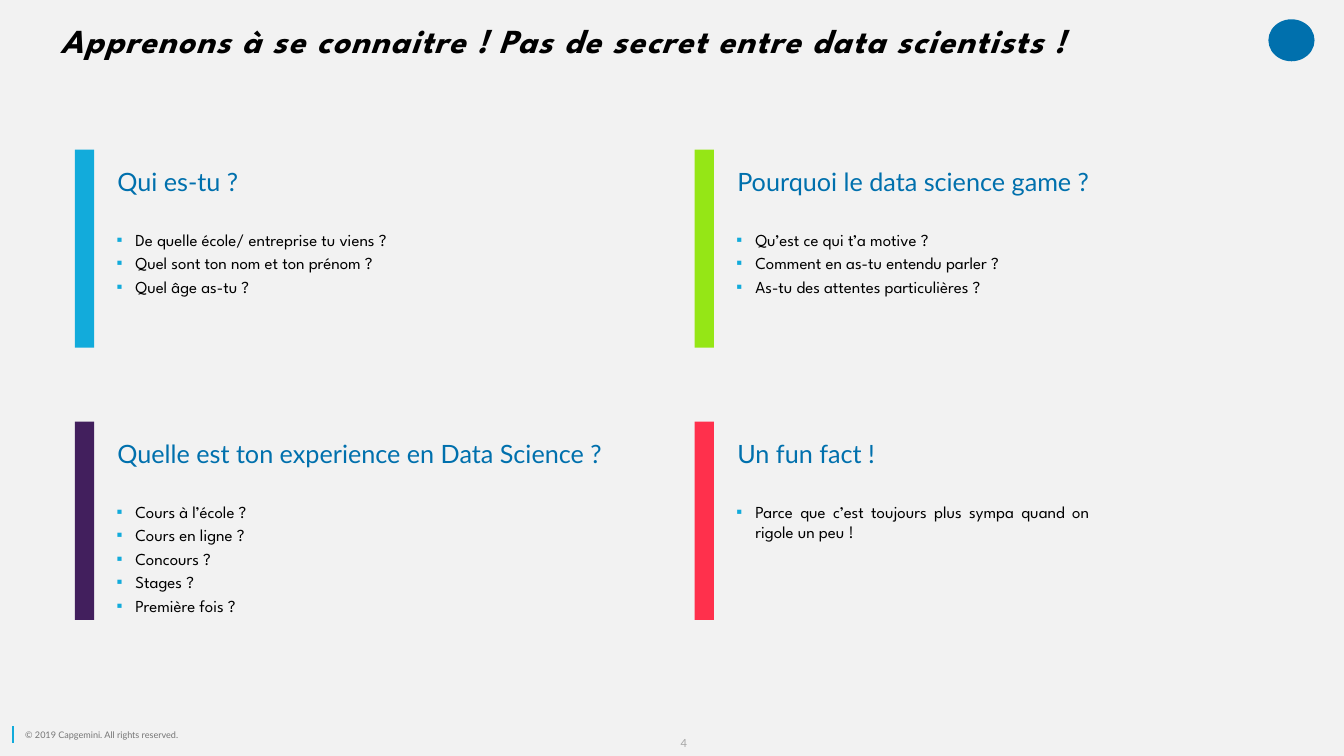
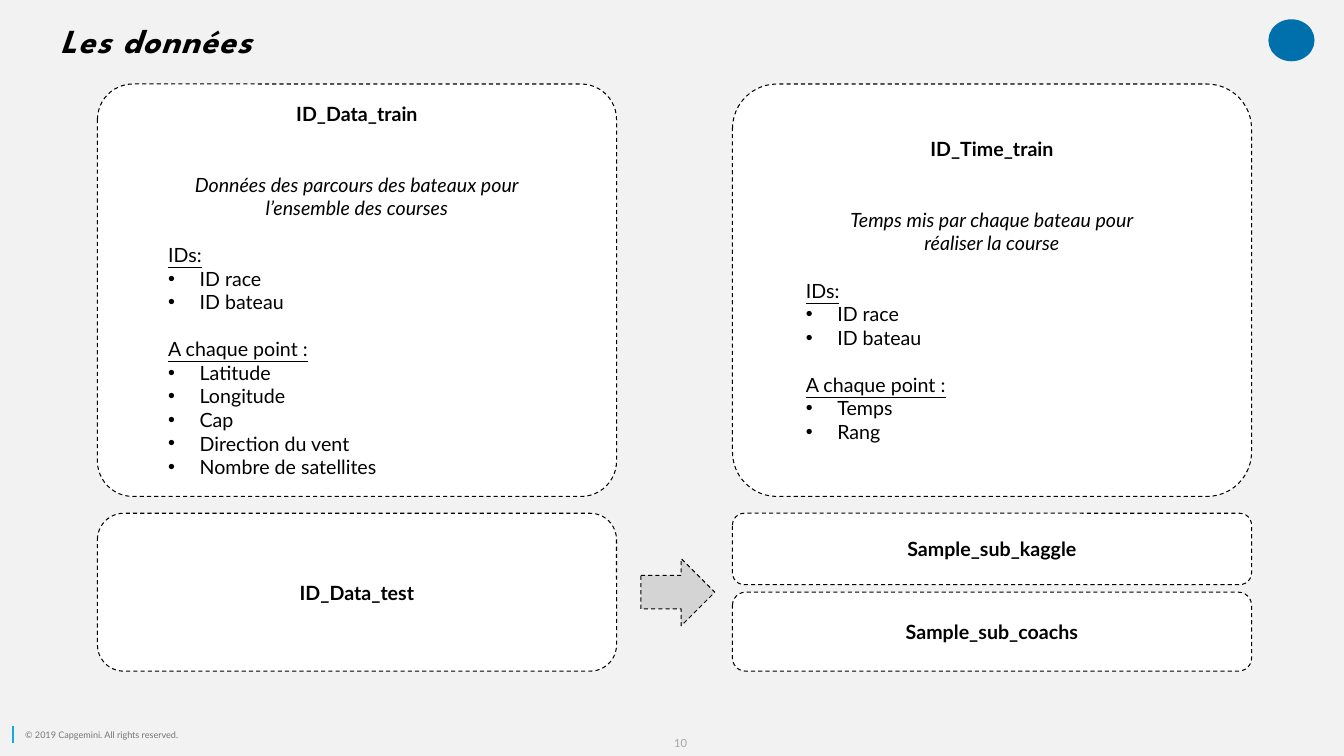
"""Build two data science workshop slides: an ice-breaker and a data overview."""
import lxml.etree
import pptx
import pptx.dml.color
import pptx.enum.dml
import pptx.enum.shapes
import pptx.enum.text
import pptx.oxml.ns
import pptx.util

Pt = pptx.util.Pt
RGB = pptx.dml.color.RGBColor.from_string
SHAPE = pptx.enum.shapes.MSO_SHAPE
ALIGN = pptx.enum.text.PP_ALIGN
ANCHOR = pptx.enum.text.MSO_ANCHOR
qn = pptx.oxml.ns.qn

COLS, ROWS = 160, 90
CELL = pptx.util.Inches(7.5) // ROWS

THEME = {
    "back": "F2F2F2", "card": "FFFFFF", "ink": "000000", "arrow": "D4D4D4",
    "blue": "0070AD", "cyan": "12ABDB",
    "bars": ["12ABDB", "95E616", "421F5D", "FF304C"],
    "title": {"font": {"name": "League Spartan", "size": Pt(24), "bold": True, "italic": True},
              "color": "000000", "spc": 100},
    "footer": {"font": {"name": "Lato", "size": Pt(6.5)}, "color": "767676"},
    "number": {"font": {"name": "Lato", "size": Pt(8)}, "color": "A6A6A6",
               "para": {"alignment": ALIGN.RIGHT}},
    "heading": {"font": {"name": "Lato", "size": Pt(18)}, "color": "0070AD"},
    "question": {"font": {"name": "League Spartan", "size": Pt(12)}, "color": "000000",
                 "para": {"alignment": ALIGN.JUSTIFY, "space_before": Pt(2.4)},
                 "indent": (13.5, -13.5), "bullet": ("▪", "12ABDB")},
    "name": {"font": {"name": "Lato", "size": Pt(14), "bold": True}, "color": "000000",
             "para": {"alignment": ALIGN.CENTER, "space_after": Pt(33.6)}},
    "single": {"font": {"name": "Lato", "size": Pt(14), "bold": True}, "color": "000000",
               "para": {"alignment": ALIGN.CENTER}},
    "note": {"font": {"name": "Lato", "size": Pt(14), "italic": True}, "color": "000000",
             "para": {"alignment": ALIGN.CENTER}},
    "label": {"font": {"name": "Lato", "size": Pt(14), "underline": True}, "color": "000000",
              "para": {"alignment": ALIGN.LEFT, "space_before": Pt(16.8)}, "indent": (36, 0)},
    "field": {"font": {"name": "Lato", "size": Pt(14)}, "color": "000000",
              "para": {"alignment": ALIGN.LEFT}, "indent": (58.5, -22.5),
              "bullet": ("•", "000000")},
}


def add(s, box, kind=None, fill=None, outline=False):
    """Add a text box, or a preset shape when a kind is given, on the grid."""
    at = [round(v * CELL) for v in box]
    if kind is None:
        return s.shapes.add_textbox(*at)
    sp = s.shapes.add_shape(kind, *at)
    sp.shadow.inherit = False
    sp.fill.solid()
    sp.fill.fore_color.rgb = RGB(fill)
    if outline:
        sp.line.color.rgb = RGB(THEME["ink"])
        sp.line.width = Pt(0.75)
        sp.line.dash_style = pptx.enum.dml.MSO_LINE.DASH
    else:
        sp.line.fill.background()
    return sp


def write(sp, lines, **frame):
    """Write (style, text) lines into a shape with the given frame values."""
    tf = sp.text_frame
    for key, value in {"word_wrap": True, **frame}.items():
        setattr(tf, key, value)
    for i, (style, text) in enumerate(lines):
        look = THEME[style]
        p = tf.paragraphs[0] if i == 0 else tf.add_paragraph()
        pPr = p._p.get_or_add_pPr()
        if "indent" in look:
            for key, value in zip(("marL", "indent"), look["indent"]):
                pPr.set(key, str(Pt(value)))
        if "bullet" in look:
            char, color = look["bullet"]
            clr = lxml.etree.SubElement(pPr, qn("a:buClr"))
            lxml.etree.SubElement(clr, qn("a:srgbClr"), val=color)
            lxml.etree.SubElement(pPr, qn("a:buFont"), typeface="Arial")
            lxml.etree.SubElement(pPr, qn("a:buChar"), char=char)
        for key, value in look.get("para", {}).items():
            if i or key != "space_before":
                setattr(p, key, value)
        r = p.add_run()
        r.text = text
        for key, value in look["font"].items():
            setattr(r.font, key, value)
        r.font.color.rgb = RGB(look["color"])
        if "spc" in look:
            r._r.get_or_add_rPr().set("spc", str(look["spc"]))


prs = pptx.Presentation()
prs.slide_width, prs.slide_height = COLS * CELL, ROWS * CELL
FLUSH = {"margin_left": 0, "margin_top": 0, "margin_right": 0, "margin_bottom": 0}
MIDDLE = {"vertical_anchor": ANCHOR.MIDDLE}

slides = []
for title, number in [("Apprenons à se connaitre ! Pas de secret entre data scientists !", "4"),
                      ("Les données", "10")]:
    s = prs.slides.add_slide(prs.slide_layouts[6])
    s.background.fill.solid()
    s.background.fill.fore_color.rgb = RGB(THEME["back"])
    add(s, (151, 2.3, 5.5, 5), SHAPE.OVAL, THEME["blue"])
    tick = s.shapes.add_connector(pptx.enum.shapes.MSO_CONNECTOR.STRAIGHT,
                                  *[round(v * CELL) for v in (1.55, 88.4, 1.55, 86.4)])
    tick.line.color.rgb = RGB(THEME["cyan"])
    tick.line.width = Pt(1)
    lxml.etree.SubElement(tick._element.spPr, qn("a:effectLst"))
    write(add(s, (3, 86, 29, 2.9)),
          [("footer", "© 2019 Capgemini. All rights reserved.")], **FLUSH, **MIDDLE)
    write(add(s, (78.1, 87.7, 3.7, 1.6)), [("number", number)], **FLUSH, **MIDDLE)
    write(add(s, (7.2, 0, 145, 14.5)), [("title", title)],
          **{**FLUSH, "margin_top": round(2.4 * CELL)})
    slides.append(s)

s = slides[0]
topics = [
    ("Qui es-tu ?",
     ["De quelle école/ entreprise tu viens ?", "Quel sont ton nom et ton prénom ?",
      "Quel âge as-tu ?"]),
    ("Pourquoi le data science game ?",
     ["Qu’est ce qui t’a motive ?", "Comment en as-tu entendu parler ?",
      "As-tu des attentes particulières ?"]),
    ("Quelle est ton experience en Data Science ?",
     ["Cours à l’école ?", "Cours en ligne ?", "Concours ?", "Stages ?", "Première fois ?"]),
    ("Un fun fact !", ["Parce que c’est toujours plus sympa quand on rigole un peu !"]),
]
for i, (heading, questions) in enumerate(topics):
    x, y = 8.9 + i % 2 * 73.8, 17.8 + i // 2 * 32.4
    add(s, (x, y, 2.3, 23.6), SHAPE.RECTANGLE, THEME["bars"][i])
    write(add(s, (x + 3.9, y + 0.7, 65, 6.1)), [("heading", heading)], **MIDDLE)
    write(add(s, (x + 3.8, y + 8.9, 44.4, 15)), [("question", q) for q in questions])

s = slides[1]
LEFT, RIGHT, WIDE = 11.6, 87.2, 61.8
tables = [
    (LEFT, 0.086, "ID_Data_train",
     ["Données des parcours des bateaux pour", "l’ensemble des courses"],
     ["Latitude", "Longitude", "Cap", "Direction du vent", "Nombre de satellites"]),
    (RIGHT, 0.108, "ID_Time_train",
     ["Temps mis par chaque bateau pour", "réaliser la course"],
     ["Temps", "Rang"]),
]
for x, corner, name, notes, fields in tables:
    sp = add(s, (x, 10, WIDE, 49.1), SHAPE.ROUNDED_RECTANGLE, THEME["card"], True)
    sp.adjustments[0] = corner
    lines = [("name", name)] + [("note", n) for n in notes]
    for label, items in [("IDs:", ["ID race", "ID bateau"]), ("A chaque point :", fields)]:
        lines += [("label", label)] + [("field", f) for f in items]
    write(sp, lines, **MIDDLE)

for x, y, h, name in [(LEFT, 61.1, 18.8, "ID_Data_test"),
                      (RIGHT, 61.1, 8.5, "Sample_sub_kaggle"),
                      (RIGHT, 70.5, 9.4, "Sample_sub_coachs")]:
    sp = add(s, (x, y, WIDE, h), SHAPE.ROUNDED_RECTANGLE, THEME["card"], True)
    write(sp, [("single", name)], **MIDDLE)
add(s, (76.3, 66.5, 8.8, 8), SHAPE.RIGHT_ARROW, THEME["arrow"], True)

prs.save("out.pptx")
